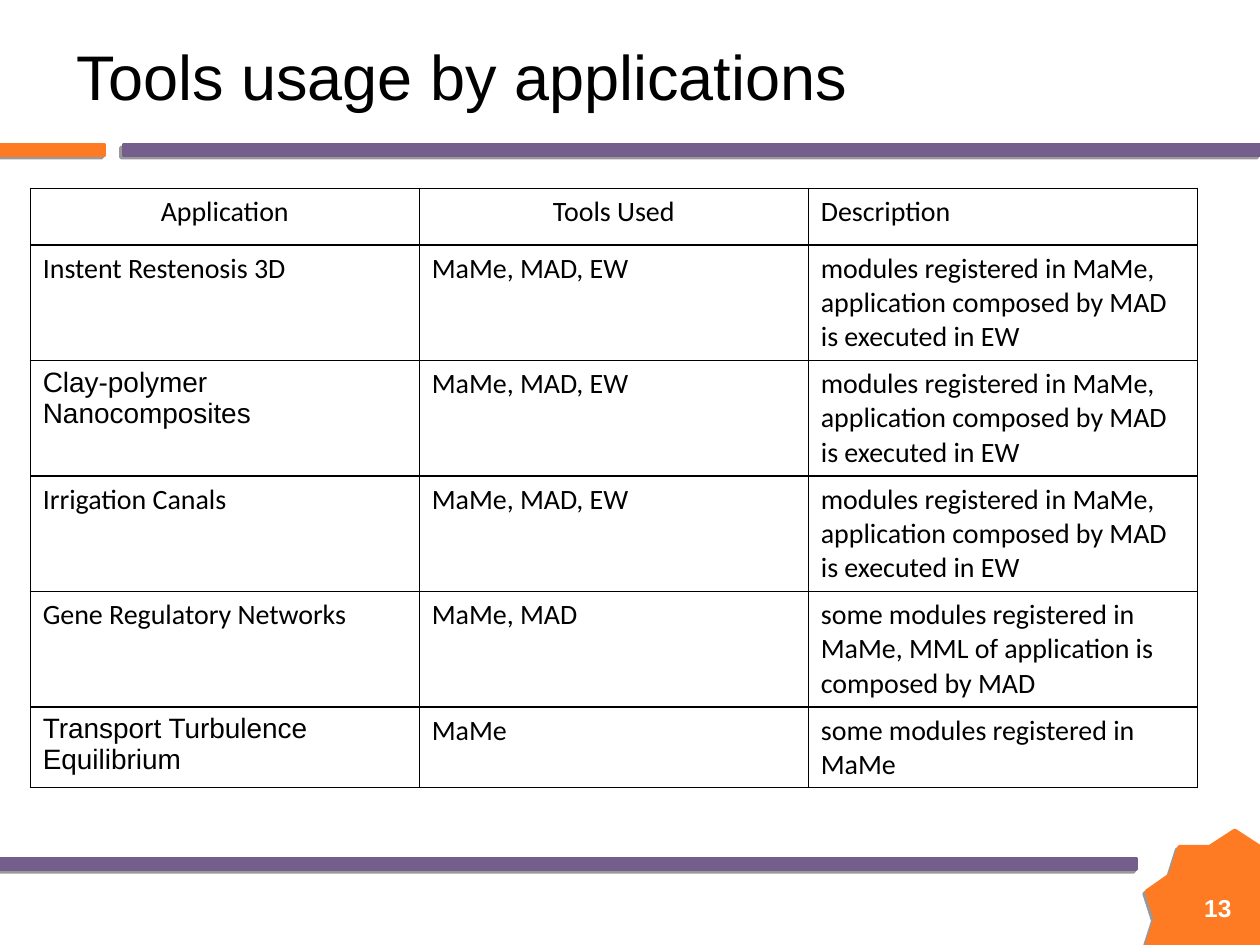
from lxml import etree
from pptx import Presentation
from pptx.dml.color import RGBColor
from pptx.enum.shapes import MSO_SHAPE
from pptx.enum.text import MSO_ANCHOR, PP_ALIGN
from pptx.oxml.ns import qn
from pptx.util import Pt

RECTANGLE = MSO_SHAPE.RECTANGLE
TOP, MIDDLE = MSO_ANCHOR.TOP, MSO_ANCHOR.MIDDLE
LEFT, CENTER = PP_ALIGN.LEFT, PP_ALIGN.CENTER
BLACK = RGBColor(0x00, 0x00, 0x00)
WHITE = RGBColor(0xFF, 0xFF, 0xFF)
ORANGE = RGBColor(0xFE, 0x7B, 0x23)
PURPLE = RGBColor(0x74, 0x5E, 0x8C)

# Content
TITLE = "Tools usage by applications"
PAGE_NUMBER = "13"
HEADINGS = [("Application", CENTER), ("Tools Used", CENTER), ("Description", LEFT)]
ALL_TOOLS = "MaMe, MAD, EW"
FULL_CHAIN = ("modules registered in MaMe, application composed by MAD "
              "is executed in EW")
# Application, font of its name, tools, description
APPLICATIONS = [
    ("Instent Restenosis 3D", "Calibri", ALL_TOOLS, FULL_CHAIN),
    ("Clay-polymer Nanocomposites", "Arial", ALL_TOOLS, FULL_CHAIN),
    ("Irrigation Canals", "Calibri", ALL_TOOLS, FULL_CHAIN),
    ("Gene Regulatory Networks", "Calibri", "MaMe, MAD",
     "some modules registered in MaMe, MML of application is composed by MAD"),
    ("Transport Turbulence Equilibrium", "Arial", "MaMe",
     "some modules registered in MaMe"),
]

# Layout in points
BARS = [  # left, top, width, colour
    (70.5, 82.8, 649.5, PURPLE),
    (0, 82.8, 59.8, ORANGE),
    (0, 491, 649.5, PURPLE),
]
BAR_HEIGHT = 5.8
STAR_CENTER = (705.6, 524.9)
STAR_QUADRANT = [(0, 50.4), (14.4, 41), (31.7, 41), (36.7, 25.2),
                 (50.4, 15.6), (45.4, 0)]
TABLE_LEFT, TABLE_TOP, COLUMN_WIDTH = 17.3, 107.7, 222.3
ROW_HEIGHTS = [32.4, 66, 66, 66, 66, 46]


def write(frame, text, font="Arial", size=16, color=BLACK, bold=False,
          align=LEFT, anchor=TOP):
    frame.word_wrap = True
    frame.vertical_anchor = anchor
    para = frame.paragraphs[0]
    para.alignment = align
    span = para.add_run()
    span.text = text
    span.font.name = font
    span.font.size = Pt(size)
    span.font.bold = bold
    span.font.color.rgb = color


def add_text(page, text, left, top, width, height, **style):
    box = page.shapes.add_textbox(Pt(left), Pt(top), Pt(width), Pt(height))
    write(box.text_frame, text, **style)


def decorate(shape, color):
    """Solid fill and line with a hard shadow to the lower left."""
    shape.fill.solid()
    shape.fill.fore_color.rgb = color
    shape.line.color.rgb = color
    shape.line.width = Pt(2)
    shape.shadow.inherit = False
    effects = shape._element.spPr.find(qn("a:effectLst"))
    shadow = etree.SubElement(effects, qn("a:outerShdw"), blurRad="0",
                              dist=str(Pt(2)), dir=str(135 * 60000),
                              algn="ctr", rotWithShape="0")
    tone = etree.SubElement(shadow, qn("a:srgbClr"), val=str(BLACK))
    etree.SubElement(tone, qn("a:alpha"), val="40000")


def add_star(page):
    # Mirror the quadrant to the right half, then to the left half
    right = [(x, -y) for x, y in STAR_QUADRANT] + STAR_QUADRANT[-2::-1]
    offsets = right + [(-x, y) for x, y in right[-2:0:-1]]
    points = [(Pt(STAR_CENTER[0] + x), Pt(STAR_CENTER[1] + y)) for x, y in offsets]
    builder = page.shapes.build_freeform(*points[0], scale=1.0)
    builder.add_line_segments(points[1:], close=True)
    decorate(builder.convert_to_shape(), ORANGE)


def fill_cell(cell, text, **style):
    write(cell.text_frame, text, **style)
    properties = cell._tc.get_or_add_tcPr()
    for side in ("lnL", "lnR", "lnT", "lnB"):
        line = etree.SubElement(properties, qn("a:" + side), w=str(Pt(1)))
        solid = etree.SubElement(line, qn("a:solidFill"))
        etree.SubElement(solid, qn("a:srgbClr"), val=str(BLACK))
    cell.fill.solid()
    cell.fill.fore_color.rgb = WHITE


def add_usage_table(page):
    table = page.shapes.add_table(
        len(ROW_HEIGHTS), len(HEADINGS), Pt(TABLE_LEFT), Pt(TABLE_TOP),
        Pt(COLUMN_WIDTH * len(HEADINGS)), Pt(sum(ROW_HEIGHTS))).table
    for column in table.columns:
        column.width = Pt(COLUMN_WIDTH)
    for row, height in zip(table.rows, ROW_HEIGHTS):
        row.height = Pt(height)
    for index, (heading, align) in enumerate(HEADINGS):
        fill_cell(table.cell(0, index), heading, font="Calibri", align=align)
    for index, (name, name_font, tools, description) in enumerate(APPLICATIONS, 1):
        fill_cell(table.cell(index, 0), name, font=name_font)
        fill_cell(table.cell(index, 1), tools, font="Calibri")
        fill_cell(table.cell(index, 2), description, font="Calibri")


def main():
    deck = Presentation()
    deck.slide_width, deck.slide_height = Pt(720), Pt(540)
    page = deck.slides.add_slide(deck.slide_layouts[6])

    # Star, bars and page number
    add_star(page)
    for left, top, width, color in BARS:
        bar = page.shapes.add_shape(RECTANGLE, Pt(left), Pt(top),
                                    Pt(width), Pt(BAR_HEIGHT))
        decorate(bar, color)
    add_text(page, PAGE_NUMBER, 671.8, 506.9, 48.2, 24.5, size=14,
             color=WHITE, bold=True, align=CENTER)

    # Title and table
    add_text(page, TITLE, 36.7, -8.6, 481.7, 103, size=36, anchor=MIDDLE)
    add_usage_table(page)

    deck.save("out.pptx")


if __name__ == "__main__":
    main()
